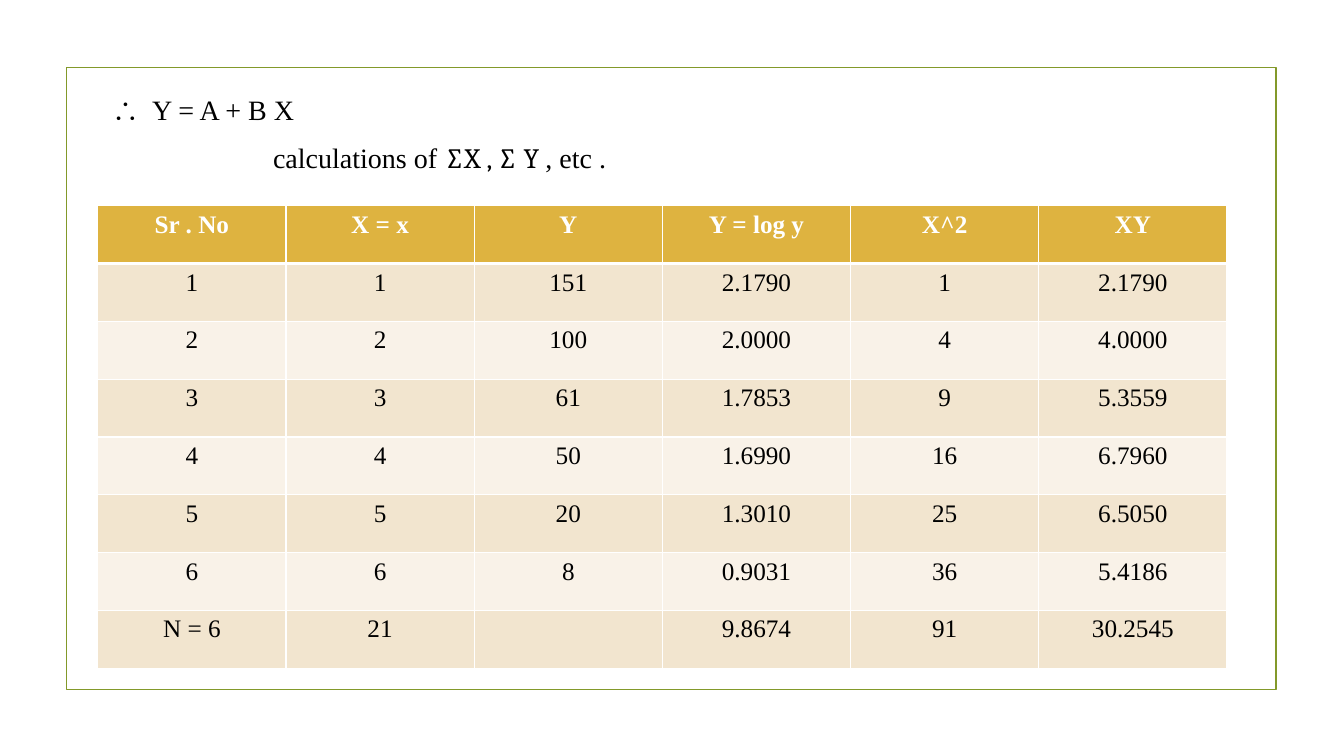
from collections import namedtuple
from dataclasses import dataclass

from lxml import etree
from pptx import Presentation
from pptx.dml.color import RGBColor
from pptx.enum.shapes import MSO_SHAPE
from pptx.enum.text import PP_ALIGN
from pptx.oxml.ns import qn
from pptx.util import Pt

RECTANGLE = MSO_SHAPE.RECTANGLE
CENTER = PP_ALIGN.CENTER
PX = 9144  # 100 px to the inch
BLANK_LAYOUT = 6

Box = namedtuple("Box", "left top width height")


@dataclass(frozen=True)
class Theme:
    frame: str = "83992A"
    header: str = "DEB340"
    bands: tuple = ("F2E5CF", "F9F2E8")
    ink: str = "000000"
    white: str = "FFFFFF"
    text_font: str = "Times New Roman"
    math_font: str = "Cambria"
    body_size: int = 20
    table_size: int = 18


THEME = Theme()

# Each line: left margin and first-line indent in px, then its (text, font) runs.
EQUATION_LINES = [
    (47, -40, [("∴\t", THEME.math_font), ("Y = A + B X", THEME.text_font)]),
    (167, 0, [("calculations of ", THEME.text_font),
              ("∑X , ∑ Y ", THEME.math_font),
              (", etc .", THEME.text_font)]),
]

CALCULATIONS = [
    ["Sr . No", "X = x", "Y", "Y = log y", "X^2", "XY"],
    ["1", "1", "151", "2.1790", "1", "2.1790"],
    ["2", "2", "100", "2.0000", "4", "4.0000"],
    ["3", "3", "61", "1.7853", "9", "5.3559"],
    ["4", "4", "50", "1.6990", "16", "6.7960"],
    ["5", "5", "20", "1.3010", "25", "6.5050"],
    ["6", "6", "8", "0.9031", "36", "5.4186"],
    ["N = 6", "21", "", "9.8674", "91", "30.2545"],
]


def emu(box):
    return [length * PX for length in box]


def add_span(para, text, font, size, color, bold=False):
    span = para.add_run()
    span.text = text
    span.font.name = font
    span.font.size = Pt(size)
    span.font.bold = bold
    span.font.color.rgb = RGBColor.from_string(color)


def set_borders(cell, widths):
    """Draw white borders; widths in points run left, right, top, bottom."""
    properties = cell._tc.get_or_add_tcPr()
    for index, (side, width) in enumerate(zip("LRTB", widths)):
        line = etree.Element(qn(f"a:ln{side}"), w=str(Pt(width)))
        fill = etree.SubElement(line, qn("a:solidFill"))
        etree.SubElement(fill, qn("a:srgbClr"), val=THEME.white)
        properties.insert(index, line)


def add_frame(page, box):
    frame = page.shapes.add_shape(RECTANGLE, *emu(box))
    frame.shadow.inherit = False
    frame.fill.background()
    frame.line.color.rgb = RGBColor.from_string(THEME.frame)
    frame.line.width = Pt(1.25)


def add_equation(page, box):
    frame = page.shapes.add_textbox(*emu(box)).text_frame
    frame.word_wrap = True
    for index, (margin, indent, spans) in enumerate(EQUATION_LINES):
        para = frame.add_paragraph() if index else frame.paragraphs[0]
        para.space_before = Pt(4)
        para.space_after = Pt(6)
        properties = para._p.get_or_add_pPr()
        properties.set("marL", str(margin * PX))
        properties.set("indent", str(indent * PX))
        for text, font in spans:
            add_span(para, text, font, THEME.body_size, THEME.ink)


def add_calculations(page, box):
    table = page.shapes.add_table(
        len(CALCULATIONS), len(CALCULATIONS[0]), *emu(box)).table
    for row, values in enumerate(CALCULATIONS):
        is_header = row == 0
        fill = THEME.header if is_header else THEME.bands[(row - 1) % 2]
        color = THEME.white if is_header else THEME.ink
        # The rule under the header is shared with the row below it.
        widths = (1, 1, 3 if row == 1 else 1, 3 if is_header else 1)
        for column, value in enumerate(values):
            cell = table.cell(row, column)
            cell.fill.solid()
            cell.fill.fore_color.rgb = RGBColor.from_string(fill)
            set_borders(cell, widths)
            para = cell.text_frame.paragraphs[0]
            para.alignment = CENTER
            if value:
                add_span(para, value, THEME.text_font, THEME.table_size,
                         color, is_header)


def add_calculation_page(deck, box):
    page = deck.slides.add_slide(deck.slide_layouts[BLANK_LAYOUT])
    left, top = box.left, box.top
    add_frame(page, box)
    add_equation(page, Box(left + 28, top + 20, box.width - 57, 110))
    add_calculations(page, Box(left + 31, top + 137, box.width - 80, 459))


def main():
    deck = Presentation()
    deck.slide_width = 1333 * PX
    deck.slide_height = 750 * PX
    add_calculation_page(deck, Box(66, 67, 1200, 617))
    deck.save("out.pptx")


if __name__ == "__main__":
    main()
